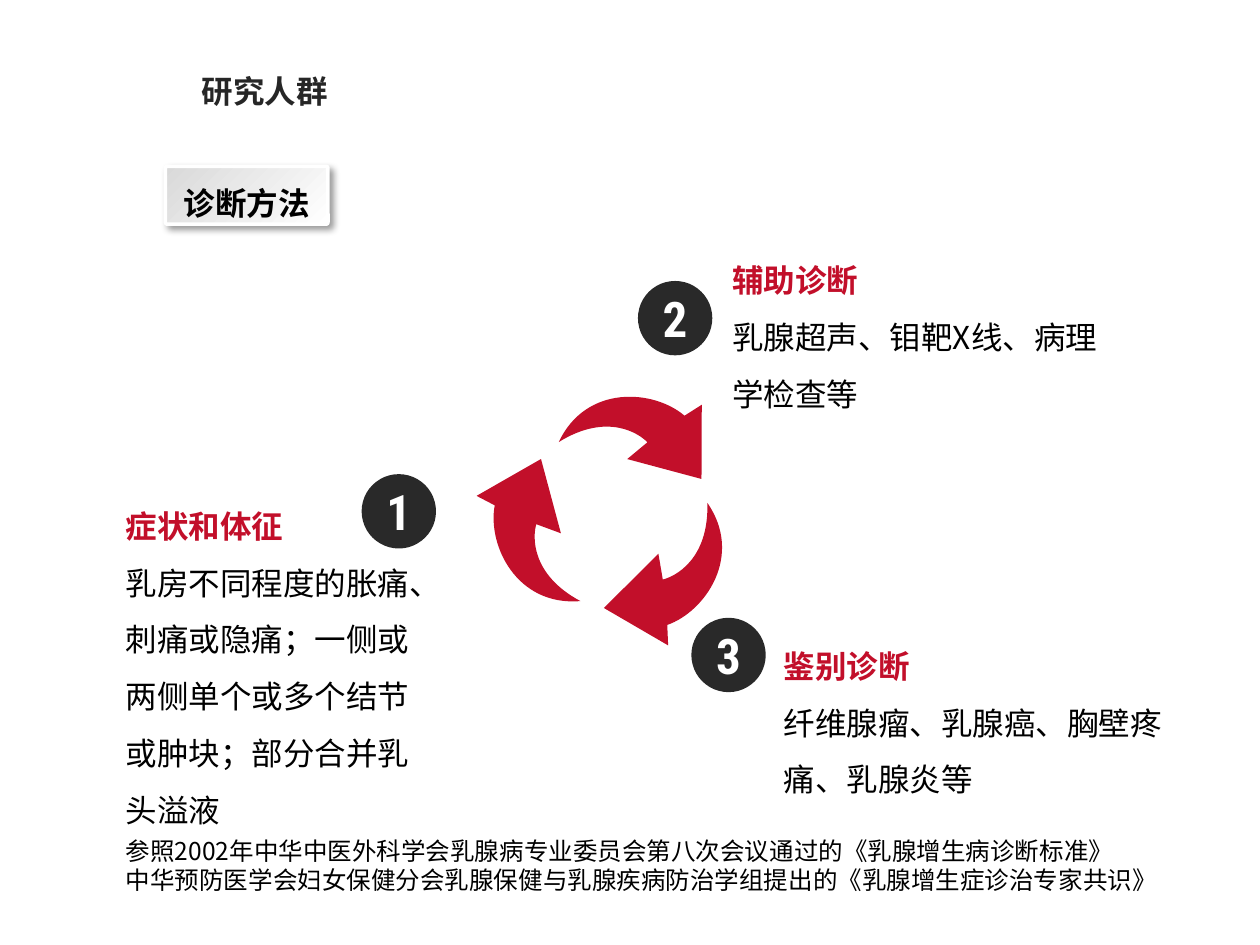
from math import cos, radians, sin

from lxml.etree import SubElement
from pptx import Presentation
from pptx.dml.color import RGBColor
from pptx.enum.shapes import MSO_SHAPE
from pptx.enum.text import MSO_ANCHOR, MSO_AUTO_SIZE, PP_ALIGN
from pptx.oxml.ns import qn
from pptx.util import Inches, Pt

# Every place is in cells of a grid of 100 columns by 75 rows.
COLUMNS, ROWS = 100, 75
WIDTH, HEIGHT = Inches(10), Inches(7.5)


class Theme:
    text_face, number_face = "Noto Sans CJK SC", "Roboto Condensed"
    red, dark, title = "C20F2A", "292929", "262626"
    black, white, grey = "000000", "FFFFFF", "D9D9D9"
    body_size, number_size, source_size = 18, 28, 14


TITLE = ("研究人群", (15, 5.2, 12.1, 4))
BADGE = ("诊断方法", (13.13, 13.2, 12.9, 4.6))
DISC_SIZE = 5.9
STEPS = [
    # number, disc corner, heading, detail, text area
    ("1", (28.7, 37.63), "症状和体征",
     "乳房不同程度的胀痛、刺痛或隐痛；一侧或两侧单个或多个结节或肿块；部分合并乳头溢液",
     (9, 38.25, 26.1, 28.3)),
    ("2", (50.63, 22.3), "辅助诊断", "乳腺超声、钼靶X线、病理学检查等",
     (57.15, 18.75, 31.9, 14.6)),
    ("3", (54.87, 49.03), "鉴别诊断", "纤维腺瘤、乳腺癌、胸壁疼痛、乳腺炎等",
     (61.23, 49.35, 33, 14.6)),
]
SOURCES = [
    "参照2002年中华中医外科学会乳腺病专业委员会第八次会议通过的《乳腺增生病诊断标准》",
    "中华预防医学会妇女保健分会乳腺保健与乳腺疾病防治学组提出的《乳腺增生症诊治专家共识》",
]
SOURCES_AREA = (9, 65.85, 84.5, 5.7)

CYCLE_CENTRE, CYCLE_RADIUS = (48.85, 40.9), 7.35
FIRST_TILT = 15
# The level arrow, in tenths of a cell from its top left corner.
ARROW_SIZE = (117, 58)
ARROW_CORNERS = [(102, 0), (117, 57), (56, 57), (68, 40), (0, 58), (91, 12)]
# Control points of the curves that end at the given corner.
ARROW_CURVES = {4: [(60, 35), (31, 25)], 5: [(9, 8), (62, -2)]}


def place(left, top, width, height):
    return (round(left / COLUMNS * WIDTH), round(top / ROWS * HEIGHT),
            round(width / COLUMNS * WIDTH), round(height / ROWS * HEIGHT))


def colour(value):
    return RGBColor.from_string(value)


def paint(shape, ink):
    """Give the shape a flat fill, with no line and no shadow."""
    shape.shadow.inherit = False
    shape.fill.solid()
    shape.fill.fore_color.rgb = colour(ink)
    shape.line.fill.background()


def write(paragraph, words, size, ink, bold=False, face=Theme.text_face):
    run = paragraph.add_run()
    run.text = words
    font = run.font
    font.name, font.size, font.bold = face, Pt(size), bold
    font.color.rgb = colour(ink)
    SubElement(font._element, qn("a:ea"), typeface=face)


def fill_frame(frame, lines, **paragraph_format):
    """Write one paragraph per (words, size, ink, bold, face) line."""
    for index, line in enumerate(lines):
        paragraph = frame.add_paragraph() if index else frame.paragraphs[0]
        for name, value in paragraph_format.items():
            setattr(paragraph, name, value)
        write(paragraph, *line)


def add_text(slide, area, lines, **paragraph_format):
    frame = slide.shapes.add_textbox(*place(*area)).text_frame
    frame.word_wrap = True
    frame.auto_size = MSO_AUTO_SIZE.SHAPE_TO_FIT_TEXT
    fill_frame(frame, lines, **paragraph_format)


def add_title(slide):
    words, area = TITLE
    title = slide.shapes.title
    title.left, title.top, title.width, title.height = place(*area)
    frame = title.text_frame
    frame.word_wrap = False
    frame.auto_size = MSO_AUTO_SIZE.SHAPE_TO_FIT_TEXT
    frame.vertical_anchor = MSO_ANCHOR.TOP
    fill_frame(frame, [(words, Theme.body_size, Theme.title, True)],
               alignment=PP_ALIGN.LEFT)


def add_disc(slide, number, corner):
    disc = slide.shapes.add_shape(
        MSO_SHAPE.OVAL, *place(*corner, DISC_SIZE, DISC_SIZE))
    paint(disc, Theme.dark)
    frame = disc.text_frame
    frame.margin_left = frame.margin_right = 0
    frame.margin_top = frame.margin_bottom = 0
    frame.vertical_anchor = MSO_ANCHOR.MIDDLE
    fill_frame(frame, [(number, Theme.number_size, Theme.white, True,
                        Theme.number_face)], alignment=PP_ALIGN.CENTER)


def bend(arrow):
    """Turn the straight edges named in ARROW_CURVES into Bezier curves."""
    edges = list(arrow._element.iter(qn("a:lnTo")))
    for corner, controls in ARROW_CURVES.items():
        edge = edges[corner - 1]
        edge.tag = qn("a:cubicBezTo")
        for position, (x, y) in enumerate(controls):
            control = SubElement(edge, qn("a:pt"), x=str(x), y=str(y))
            edge.insert(position, control)


def add_cycle(slide):
    group = slide.shapes.add_group_shape()
    width, height = (size / 10 for size in ARROW_SIZE)
    for index in range(len(STEPS)):
        tilt = FIRST_TILT + index * 360 / len(STEPS)
        x = CYCLE_CENTRE[0] + CYCLE_RADIUS * sin(radians(tilt))
        y = CYCLE_CENTRE[1] - CYCLE_RADIUS * cos(radians(tilt))
        corner = place(x - width / 2, y - height / 2, width, height)[:2]
        builder = group.shapes.build_freeform(*ARROW_CORNERS[0],
                                              scale=WIDTH / COLUMNS / 10)
        builder.add_line_segments(ARROW_CORNERS[1:], close=True)
        arrow = builder.convert_to_shape(*corner)
        bend(arrow)
        arrow.rotation = tilt
        paint(arrow, Theme.red)


def add_badge(slide):
    words, area = BADGE
    badge = slide.shapes.add_shape(MSO_SHAPE.ROUNDED_RECTANGLE, *place(*area))
    badge.adjustments[0] = 0.03
    badge.fill.gradient()
    badge.fill.gradient_angle = 315
    for stop, shade in zip(badge.fill.gradient_stops, (Theme.grey, Theme.white)):
        stop.color.rgb = colour(shade)
    badge.line.color.rgb = colour(Theme.white)
    badge.line.width = Pt(2)

    badge.shadow.inherit = False
    effects = badge._element.spPr.find(qn("a:effectLst"))
    shadow = SubElement(effects, qn("a:outerShdw"), blurRad=str(Pt(4)),
                        dist=str(Pt(3)), dir=str(45 * 60000),
                        algn="tl", rotWithShape="0")
    shade = SubElement(shadow, qn("a:srgbClr"), val=Theme.black)
    SubElement(shade, qn("a:alpha"), val="40000")

    frame = badge.text_frame
    frame.vertical_anchor = MSO_ANCHOR.MIDDLE
    fill_frame(frame, [(words, Theme.body_size, Theme.black, True)],
               alignment=PP_ALIGN.CENTER, line_spacing=Pt(30))


def main():
    deck = Presentation()
    deck.slide_width, deck.slide_height = WIDTH, HEIGHT
    slide = deck.slides.add_slide(deck.slide_layouts[5])
    add_title(slide)
    add_cycle(slide)
    for number, corner, heading, detail, area in STEPS:
        add_disc(slide, number, corner)
        add_text(slide, area, [(heading, Theme.body_size, Theme.red, True),
                               (detail, Theme.body_size, Theme.black)],
                 line_spacing=1.5)
    add_text(slide, SOURCES_AREA,
             [(source, Theme.source_size, Theme.black) for source in SOURCES],
             alignment=PP_ALIGN.JUSTIFY)
    add_badge(slide)
    deck.save("out.pptx")


if __name__ == "__main__":
    main()
